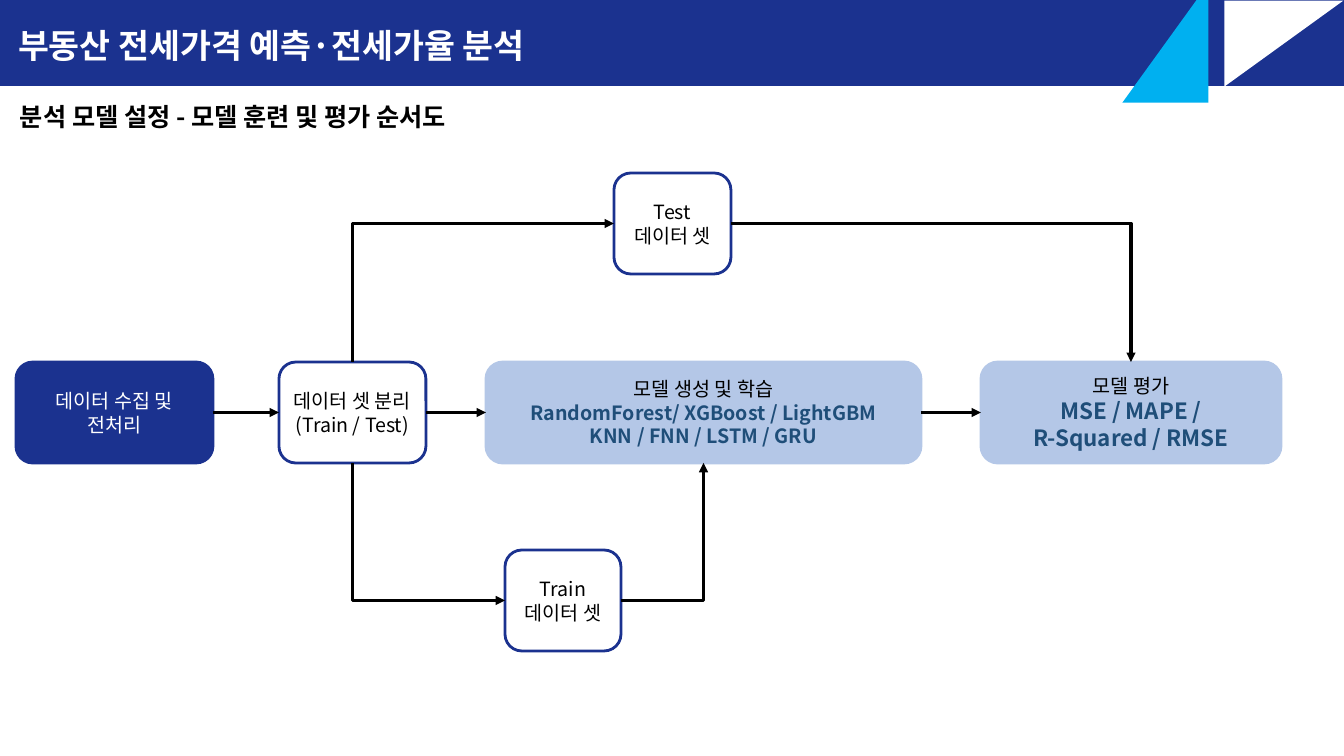
"""Build a slide with the flow chart of model training and evaluation."""
import pptx
import pptx.dml.color
import pptx.enum.shapes
import pptx.enum.text
import pptx.oxml
import pptx.oxml.ns
import pptx.util

PX = 914400 / 100.8
FONT = "Noto Sans CJK KR"
NAVY, SKY, PALE, DEEP = "1B328F", "00B0F0", "B4C7E7", "1F4E79"
BLACK, WHITE = "000000", "FFFFFF"
KIND = pptx.enum.shapes.MSO_SHAPE
LINK = pptx.enum.shapes.MSO_CONNECTOR
ALIGN = pptx.enum.text.PP_ALIGN
ANCHOR = pptx.enum.text.MSO_ANCHOR
TOP, LEFT, BOTTOM, RIGHT = range(4)


def px(n):
    return pptx.util.Emu(round(n * PX))


def paint(target, color):
    target.rgb = pptx.dml.color.RGBColor.from_string(color)


def add_xml(parent, tag, **attrs):
    node = pptx.oxml.parse_xml(f"<a:{tag} {pptx.oxml.ns.nsdecls('a')}/>")
    for key, value in attrs.items():
        node.set(key, value)
    parent.append(node)


def write(par, text, size, color, bold=False):
    run = par.add_run()
    run.text = text
    font = run.font
    font.size, font.bold, font.name = pptx.util.Pt(size), bold, FONT
    paint(font.fill_color if hasattr(font, "fill_color") else font.color, color)
    add_xml(run.font._element, "ea", typeface=FONT)


def add_block(slide, kind, area, fill, edge=None, turn=0):
    shape = slide.shapes.add_shape(kind, *map(px, area))
    shape.shadow.inherit = False
    shape.fill.solid()
    paint(shape.fill.fore_color, fill)
    if edge:
        paint(shape.line.color, edge)
        shape.line.width = pptx.util.Pt(2)
    else:
        shape.line.fill.background()
    shape.rotation = turn
    return shape


def add_step(slide, area, fill, edge, lines):
    shape = add_block(slide, KIND.ROUNDED_RECTANGLE, area, fill, edge)
    frame = shape.text_frame
    frame.word_wrap = True
    frame.vertical_anchor = ANCHOR.MIDDLE
    for i, line in enumerate(lines):
        par = frame.add_paragraph() if i else frame.paragraphs[0]
        par.alignment = ALIGN.CENTER
        write(par, *line)
    return shape


def add_arrow(slide, start, side, end, goal, bent=False, tip="tailEnd"):
    kind = LINK.ELBOW if bent else LINK.STRAIGHT
    link = slide.shapes.add_connector(kind, 0, 0, 0, 0)
    link.begin_connect(start, side)
    link.end_connect(end, goal)
    paint(link.line.color, BLACK)
    link.line.width = pptx.util.Pt(2.25)
    props = link._element.spPr
    if bent:
        props.find(pptx.oxml.ns.qn("a:prstGeom")).set("prst", "bentConnector2")
    add_xml(props.find(pptx.oxml.ns.qn("a:ln")), tip, type="triangle")
    add_xml(props, "effectLst")


def add_header(slide):
    band = add_block(slide, KIND.RECTANGLE, (0, 0, 1344, 86), NAVY)
    frame = band.text_frame
    frame.word_wrap = True
    frame.vertical_anchor = ANCHOR.TOP
    frame.margin_left = px(18)
    par = frame.paragraphs[0]
    par.alignment, par.line_spacing = ALIGN.LEFT, 1.5
    write(par, "부동산 전세가격 예측·전세가율 분석", 24, WHITE, True)
    add_block(slide, KIND.RIGHT_TRIANGLE, (1241, -16, 86, 119), WHITE, turn=90)
    add_block(slide, KIND.RIGHT_TRIANGLE, (1106, 0, 119, 86), SKY, turn=270)
    box = slide.shapes.add_textbox(*map(px, (10, 96, 582, 40)))
    box.text_frame.word_wrap = True
    write(box.text_frame.paragraphs[0],
          "분석 모델 설정 - 모델 훈련 및 평가 순서도", 18, BLACK, True)


def add_flow(slide):
    row, tall = 362, 101
    prep = add_step(slide, (16, row, 197, tall), NAVY, NAVY,
                    [("데이터 수집 및 전처리", 14, WHITE)])
    split = add_step(slide, (279, row, 147, tall), WHITE, NAVY,
                     [("데이터 셋 분리", 14, BLACK),
                      ("(Train / Test)", 14, BLACK)])
    model = add_step(slide, (486, row, 435, tall), PALE, PALE,
                     [("모델 생성 및 학습", 14, BLACK),
                      ("RandomForest/ XGBoost / LightGBM", 14, DEEP, True),
                      ("KNN / FNN / LSTM / GRU", 14, DEEP, True)])
    score = add_step(slide, (981, row, 300, tall), PALE, PALE,
                     [("모델 평가", 14, BLACK),
                      ("MSE / MAPE /", 16, DEEP, True),
                      ("R-Squared / RMSE", 16, DEEP, True)])
    test, train = [
        add_step(slide, area, WHITE, NAVY,
                 [(name, 14, BLACK), ("데이터 셋", 14, BLACK)])
        for name, area in (("Test", (614, 173, 117, tall)),
                           ("Train", (505, 550, 116, tall)))]
    steps = [prep, split, model, score]
    for start, end in zip(steps, steps[1:]):
        add_arrow(slide, start, RIGHT, end, LEFT)
    add_arrow(slide, train, LEFT, split, BOTTOM, True, "headEnd")
    add_arrow(slide, test, LEFT, split, TOP, True, "headEnd")
    add_arrow(slide, test, RIGHT, score, TOP, True)
    add_arrow(slide, train, RIGHT, model, BOTTOM, True)


def main():
    deck = pptx.Presentation()
    deck.slide_width, deck.slide_height = px(1344), px(756)
    slide = deck.slides.add_slide(deck.slide_layouts[6])
    add_header(slide)
    add_flow(slide)
    deck.save("out.pptx")


if __name__ == "__main__":
    main()
